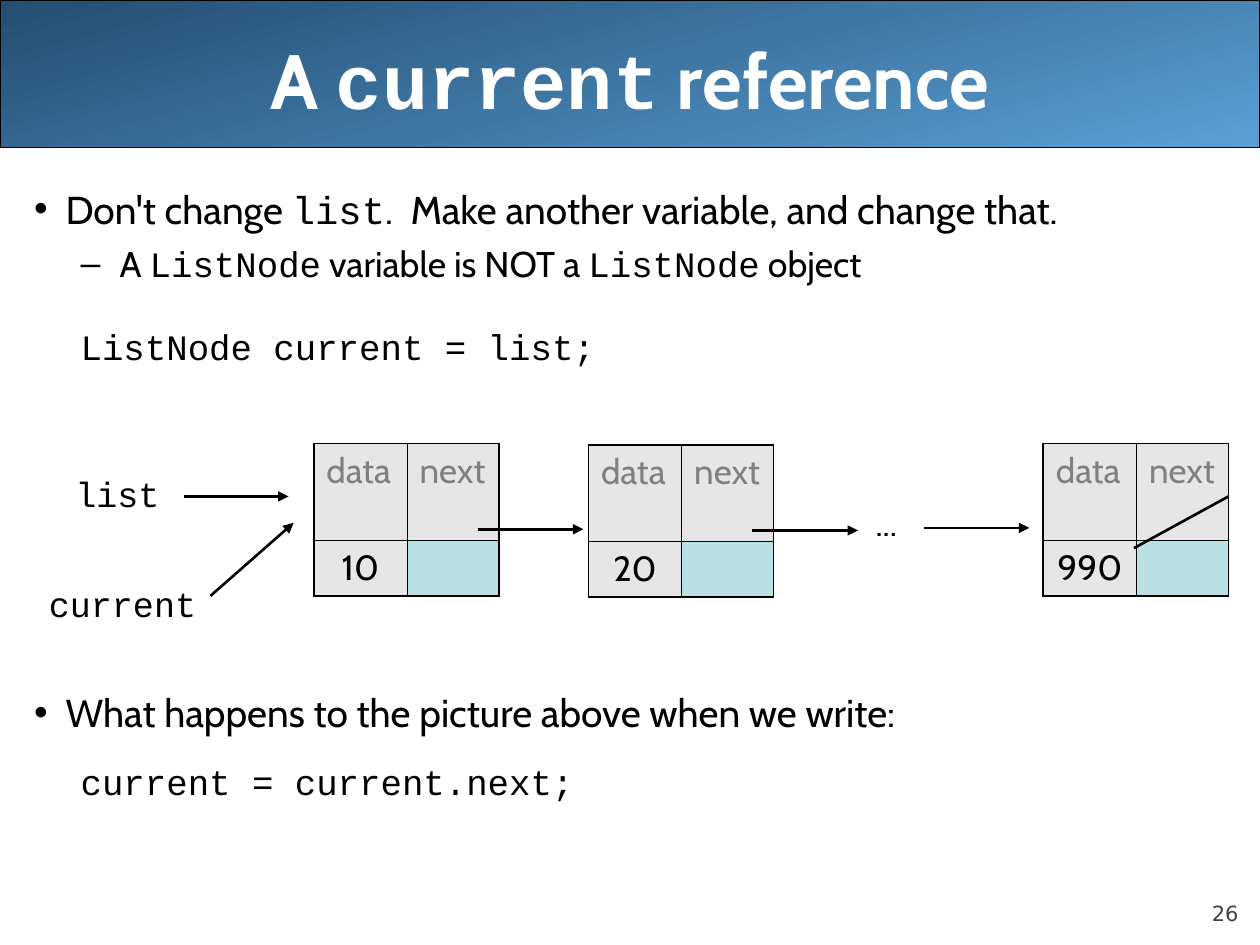
"""Build the slide on walking a linked list with a current reference."""
from lxml.etree import SubElement
from pptx import Presentation
from pptx.dml.color import RGBColor as RGB
from pptx.enum.shapes import MSO_CONNECTOR as CONN, MSO_SHAPE as SHAPE
from pptx.enum.text import MSO_ANCHOR as ANCHOR, MSO_AUTO_SIZE as AUTO, PP_ALIGN as ALIGN
from pptx.oxml.ns import qn
from pptx.util import Inches, Pt

COLORS = {"dark": "244E72", "light": "5A9FD4", "white": "FFFFFF", "ink": "000000",
          "page": "424242", "label": "808080", "cell": "E6E6E6", "link": "BBE0E3"}
SANS, MONO = "Cabin", "Courier New"

prs = Presentation()
prs.slide_width, prs.slide_height = Inches(10), Inches(7.5)
U = prs.slide_width / 100
s = prs.slides.add_slide(prs.slide_layouts[1])


def at(*cells):
    return [int(n * U) for n in cells]


def write(p, runs, size, color="ink", **fmt):
    for text, face in runs:
        r = p.add_run()
        r.text = text
        r.font.color.rgb = RGB.from_string(COLORS[color])
        for key, value in {"size": Pt(size), "name": face, **fmt}.items():
            setattr(r.font, key, value)


banner = s.shapes.add_shape(SHAPE.ROUNDED_RECTANGLE, *at(0, 0, 100, 11.7))
banner.adjustments[0] = 0
banner.shadow.inherit = False
banner.fill.gradient()
banner.fill.gradient_angle = 285
for stop, name in zip(banner.fill.gradient_stops, ("dark", "light")):
    stop.color.rgb = RGB.from_string(COLORS[name])
banner.line.color.rgb = RGB.from_string(COLORS["ink"])
banner.line.width = Pt(0.75)
s.shapes._spTree.insert(2, banner._element)

title, body = s.placeholders
for sp, box in ((title, (5, 0, 90, 12.5)), (body, (1.7, 14.2, 98.3, 56.7))):
    sp.left, sp.top, sp.width, sp.height = at(*box)
    sp.text_frame.auto_size = AUTO.NONE
    sp.text_frame.word_wrap = True
title.text_frame.vertical_anchor = ANCHOR.MIDDLE
p = title.text_frame.paragraphs[0]
p.alignment = ALIGN.CENTER
write(p, [("A ", SANS), ("current", MONO), (" reference", SANS)], 44, "white", bold=True)

lines = [
    (0, "•", 6, 1, [("Don't change ", SANS), ("list", MONO),
                    (".  Make another variable, and change that.", SANS)]),
    (1, "–", 5.5, 1, [("A ", SANS), ("ListNode", MONO), (" variable is NOT a ", SANS),
                      ("ListNode", MONO), (" object", SANS)]),
    (1, None, 26, 0.9, [("ListNode current = list;", MONO)]),
    (0, "•", 183, 1, [("What happens to the picture above when we write:", SANS)]),
    (1, None, 16.5, 0.9, [("current = current.next;", MONO)]),
]
tf = body.text_frame
for i, (level, bullet, before, spacing, runs) in enumerate(lines):
    p = tf.add_paragraph() if i else tf.paragraphs[0]
    p.level, p.space_before, p.line_spacing = level, Pt(before), spacing
    pPr = p._p.get_or_add_pPr()
    margin, indent = ((0.25, -0.25), (0.68, -0.31))[level]
    pPr.set("marL", str(Inches(margin)))
    pPr.set("indent", str(Inches(indent)))
    if bullet:
        clr = SubElement(pPr, qn("a:buClr"))
        SubElement(clr, qn("a:srgbClr"), val=COLORS["ink"])
        SubElement(pPr, qn("a:buChar"), char=bullet)
    else:
        SubElement(pPr, qn("a:buNone"))
    write(p, runs, (22.2, 20.4)[level])

for left, top, number in ((24.9, 35.2, "10"), (46.7, 35.3, "20"), (82.8, 35.2, "990")):
    table = s.shapes.add_table(2, 2, *at(left, top, 14.7, 12.1)).table
    for col, width in zip(table.columns, at(7.4, 7.3)):
        col.width = width
    for row, height in zip(table.rows, at(7.7, 4.4)):
        row.height = height
    for i, text in enumerate(("data", "next", number, "")):
        y, x = divmod(i, 2)
        cell = table.cell(y, x)
        tcPr = cell._tc.get_or_add_tcPr()
        for side, outer in (("L", x == 0), ("R", x == 1), ("T", y == 0), ("B", y == 1)):
            ln = SubElement(tcPr, qn("a:ln" + side), w=str(Pt(1.08 if outer else 0.45)))
            edge = SubElement(ln, qn("a:solidFill"))
            SubElement(edge, qn("a:srgbClr"), val=COLORS["ink"])
        cell.fill.solid()
        cell.fill.fore_color.rgb = RGB.from_string(COLORS["cell" if text else "link"])
        if text:
            p = cell.text_frame.paragraphs[0]
            p.space_before = Pt(5)
            p.alignment = ALIGN.CENTER if y else ALIGN.LEFT
            write(p, [(text, SANS)], 20, "ink" if y else "label")

for x1, y1, x2, y2, arrow in (
        (14.6, 39.4, 22.9, 39.4, True), (16.7, 47.3, 23.3, 41.5, True),
        (37.9, 42, 46.3, 42, True), (59.7, 42.1, 68.1, 42.1, True),
        (73.3, 41.9, 81.7, 41.9, True), (97.5, 39.4, 90, 43.5, False)):
    c = s.shapes.add_connector(CONN.STRAIGHT, *at(x1, y1, x2, y2))
    c.line.color.rgb = RGB.from_string(COLORS["ink"])
    c.line.width = Pt(1.5)
    if arrow:
        SubElement(c.line._get_or_add_ln(), qn("a:tailEnd"), type="triangle")
    SubElement(c._element.spPr, qn("a:effectLst"))

for text, face, box in (("list", MONO, (5, 37, 8.7, 4.4)),
                        ("...", SANS, (68.5, 39.3, 4.2, 4.4)),
                        ("current", MONO, (2.9, 45.7, 17.3, 4.4))):
    tf = s.shapes.add_textbox(*at(*box)).text_frame
    tf.word_wrap, tf.auto_size = False, AUTO.SHAPE_TO_FIT_TEXT
    write(tf.paragraphs[0], [(text, face)], 20)

tf = s.shapes.add_textbox(*at(90, 69.5, 8.3, 4)).text_frame
for key, value in {"word_wrap": True, "vertical_anchor": ANCHOR.BOTTOM, "margin_left": 0,
                   "margin_right": 0, "margin_top": 0, "margin_bottom": 0}.items():
    setattr(tf, key, value)
tf.paragraphs[0].alignment = ALIGN.RIGHT
write(tf.paragraphs[0], [("26", "DejaVu Sans")], 12, "page")

prs.save("out.pptx")
